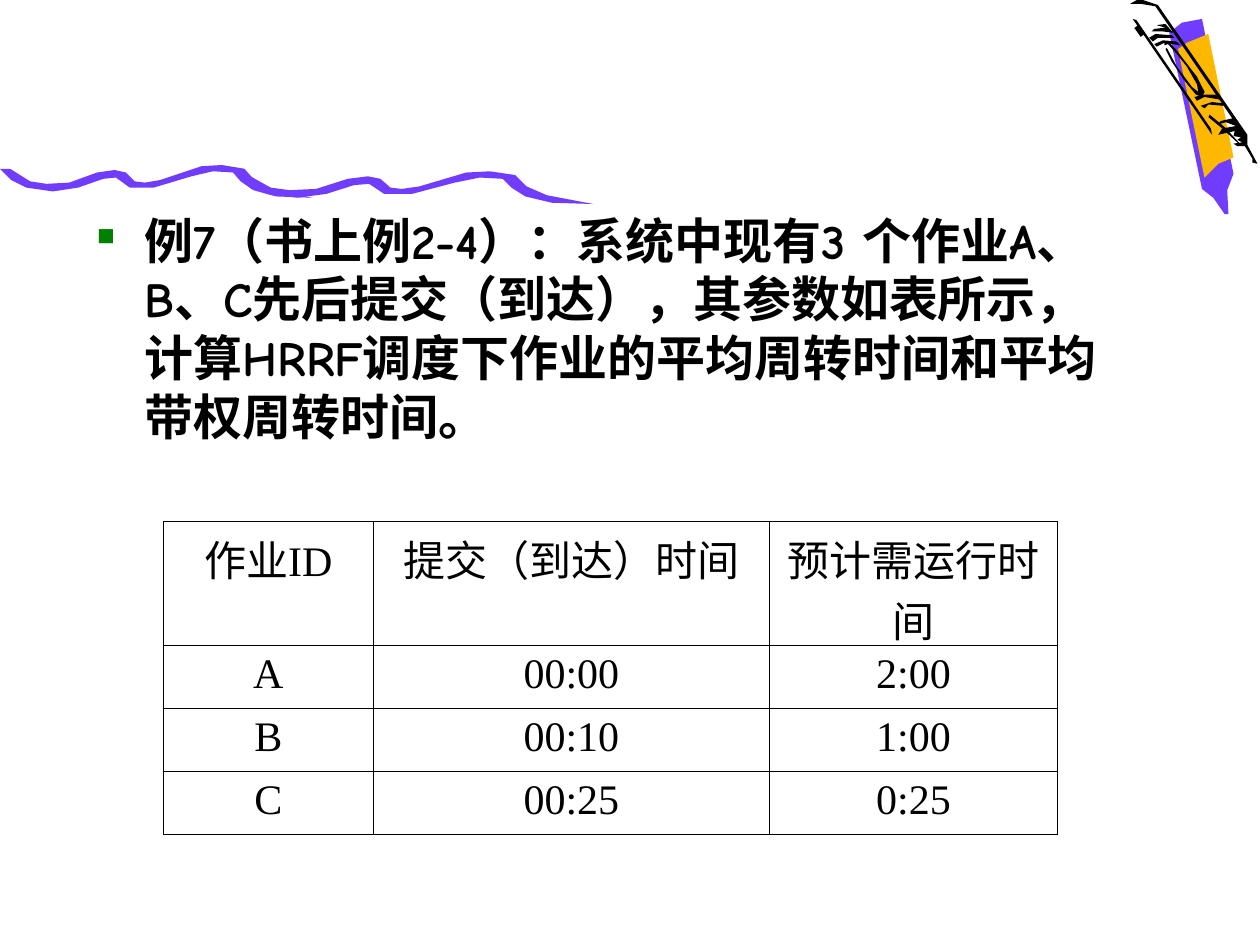
from lxml.etree import SubElement
from pptx import Presentation
from pptx.dml.color import RGBColor
from pptx.enum.lang import MSO_LANGUAGE_ID as Language
from pptx.enum.shapes import MSO_CONNECTOR as Connector
from pptx.enum.text import PP_ALIGN as Align
from pptx.oxml.ns import qn
from pptx.util import Emu, Inches, Pt

# The slide is a grid of 1000 columns by 750 rows
COLUMNS, ROWS = 1000, 750
UNIT = Inches(10) // COLUMNS
PURPLE, YELLOW, BLACK, GREEN = "703DFF", "FFB800", "000000", "008000"

BODY_FORMAT = {"name": "Comic Neue", "size": Pt(28), "bold": True,
               "language_id": Language.SIMPLIFIED_CHINESE}
TABLE_FORMAT = {"name": "Times New Roman", "size": Pt(24),
                "language_id": Language.SIMPLIFIED_CHINESE}

QUESTION = ("例7（书上例2-4）：系统中现有3 个作业A、B、C先后提交（到达），"
            "其参数如表所示，计算HRRF调度下作业的平均周转时间和平均带权周转时间。")
JOBS = [
    ["作业ID", "提交（到达）时间", "预计需运行时间"],
    ["A", "00:00", "2:00"],
    ["B", "00:10", "1:00"],
    ["C", "00:25", "0:25"],
]
COLUMN_WIDTHS = [166, 315, 228]
ROW_HEIGHTS = [98, 49, 49, 49]

# Outlines as (column, row) points
WAVE = [(8, 134), (24, 144), (37, 146), (55, 145), (77, 137), (91, 135), (100, 137),
        (107, 144), (115, 145), (127, 143), (160, 132), (176, 131), (194, 134),
        (202, 143), (216, 150), (248, 157), (219, 156), (201, 151), (191, 144),
        (185, 137), (169, 136), (152, 140), (122, 149), (103, 149), (92, 141),
        (82, 142), (62, 149), (42, 152), (21, 149), (9, 143), (0, 134)]
CRAYON_BODY = [(928, 26), (954, 150), (963, 157), (972, 170), (975, 170),
               (974, 151), (979, 138), (954, 15), (938, 18)]
CRAYON_LABEL = [(956, 141), (967, 130), (979, 125), (959, 27), (942, 34), (935, 39)]
CRAYON_STROKES = [
    # Long edges and the inner loop
    [(959, 93), (970, 102), (984, 115), (984, 114), (972, 101), (960, 91)],
    [(914, 25), (923, 25), (931, 26), (925, 19), (918, 20), (925, 22), (916, 23)],
    [(925, 39), (930, 49), (940, 64), (949, 75), (954, 77), (956, 73), (950, 61),
     (940, 48), (933, 39), (927, 33), (924, 33), (924, 36), (927, 35), (934, 43),
     (942, 53), (950, 67), (951, 73), (946, 69), (934, 53), (926, 38)],
    [(899, 15), (962, 107), (961, 102), (902, 16)],
    [(967, 107), (970, 102), (981, 100), (973, 97), (966, 99), (969, 96), (978, 94),
     (917, 5), (905, 3), (897, 3), (904, -1), (919, 4), (990, 107), (990, 115),
     (998, 130), (994, 129), (994, 126), (988, 116), (982, 116), (979, 114),
     (986, 113), (982, 111), (985, 109), (979, 108), (980, 104)],
    # Short ticks
    [(956, 86), (959, 83), (971, 84), (970, 82), (962, 81), (953, 84)],
    [(950, 80), (956, 77), (968, 79), (965, 75), (956, 75), (948, 77)],
    [(918, 37), (924, 34), (937, 36), (934, 33), (923, 32), (916, 35)],
    [(915, 33), (919, 30), (932, 30), (930, 28), (917, 27), (912, 30)],
]


def color(value):
    return RGBColor.from_string(value)


def grid(*lengths):
    return [Emu(round(length * UNIT)) for length in lengths]


def set_format(font, values, font_color=BLACK):
    for name, value in values.items():
        setattr(font, name, value)
    font.color.rgb = color(font_color)


def add_outline(slide, points, fill):
    builder = slide.shapes.build_freeform(*points[0], scale=UNIT)
    builder.add_line_segments(points[1:], close=True)
    shape = builder.convert_to_shape()
    shape.shadow.inherit = False
    shape.fill.solid()
    shape.fill.fore_color.rgb = color(fill)
    shape.line.fill.background()


def add_wave(slide, left, drop, stretch):
    points = [(left + x * stretch, y + drop) for x, y in WAVE]
    add_outline(slide, points, PURPLE)


def add_line(slide, start, end, width):
    line = slide.shapes.add_connector(Connector.STRAIGHT, *grid(*start, *end))
    line.line.color.rgb = color(BLACK)
    line.line.width = Pt(width)
    SubElement(line._element.spPr, qn("a:effectLst"))


def add_bullet(paragraph, character, bullet_color, percent, indent):
    properties = paragraph._p.get_or_add_pPr()
    properties.set("marL", str(indent))
    properties.set("indent", str(-indent))
    tint = SubElement(properties, qn("a:buClr"))
    SubElement(tint, qn("a:srgbClr"), val=bullet_color)
    SubElement(properties, qn("a:buSzPct"), val=str(percent * 1000))
    SubElement(properties, qn("a:buChar"), char=character)


def add_body(slide, text, box):
    frame = slide.shapes.add_textbox(*grid(*box)).text_frame
    frame.word_wrap = True
    paragraph = frame.paragraphs[0]
    add_bullet(paragraph, "■", GREEN, 50, Inches(0.38))
    paragraph.line_spacing = Pt(33.5)
    run = paragraph.add_run()
    run.text = text
    set_format(run.font, BODY_FORMAT)


def add_borders(cell, width):
    properties = cell._tc.get_or_add_tcPr()
    for side in ("lnL", "lnR", "lnT", "lnB"):
        border = SubElement(properties, qn(f"a:{side}"), w=str(Pt(width)))
        fill = SubElement(border, qn("a:solidFill"))
        SubElement(fill, qn("a:srgbClr"), val=BLACK)


def fill_cell(cell, text):
    add_borders(cell, 0.45)
    cell.fill.background()
    cell.margin_left = cell.margin_right = Inches(0.07)
    paragraph = cell.text_frame.paragraphs[0]
    paragraph.alignment = Align.CENTER
    run = paragraph.add_run()
    run.text = text
    set_format(run.font, TABLE_FORMAT)


def add_job_table(slide, left, top):
    box = grid(left, top, sum(COLUMN_WIDTHS), sum(ROW_HEIGHTS))
    table = slide.shapes.add_table(len(JOBS), len(JOBS[0]), *box).table
    table.first_row = table.horz_banding = False
    for column, width in zip(table.columns, grid(*COLUMN_WIDTHS)):
        column.width = width
    for row, height, texts in zip(table.rows, grid(*ROW_HEIGHTS), JOBS):
        row.height = height
        for cell, text in zip(row.cells, texts):
            fill_cell(cell, text)


def main():
    presentation = Presentation()
    presentation.slide_width, presentation.slide_height = grid(COLUMNS, ROWS)
    slide = presentation.slides.add_slide(presentation.slide_layouts[6])

    # Crayon colours and the wavy rule
    add_outline(slide, CRAYON_BODY, PURPLE)
    add_outline(slide, CRAYON_LABEL, YELLOW)
    add_wave(slide, left=0, drop=0, stretch=1)
    add_wave(slide, left=188, drop=5, stretch=1.14)

    # Crayon ink
    for points in CRAYON_STROKES:
        add_outline(slide, points, BLACK)
    add_line(slide, (902, 21), (907, 28), 3)

    # Question and job table
    add_body(slide, QUESTION, (67, 162, 842, 455))
    add_job_table(slide, 130, 414)

    presentation.save("out.pptx")


if __name__ == "__main__":
    main()
